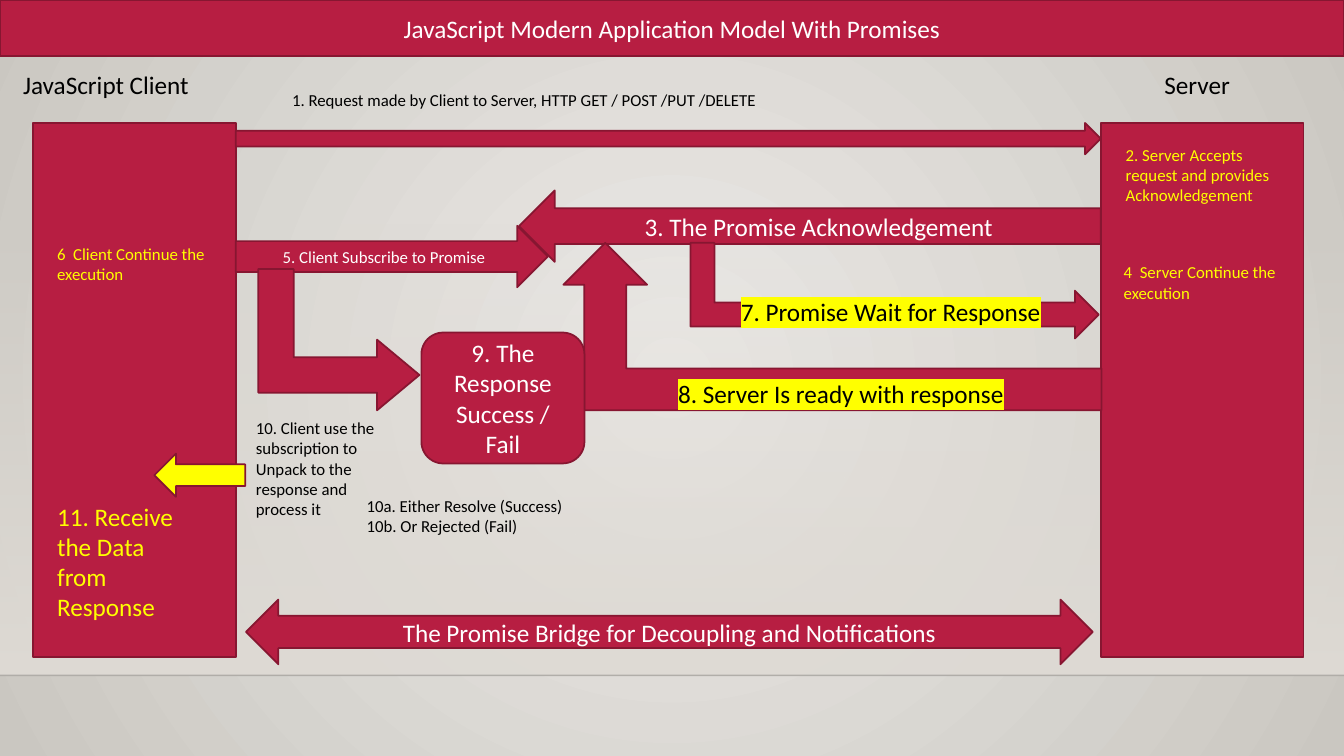
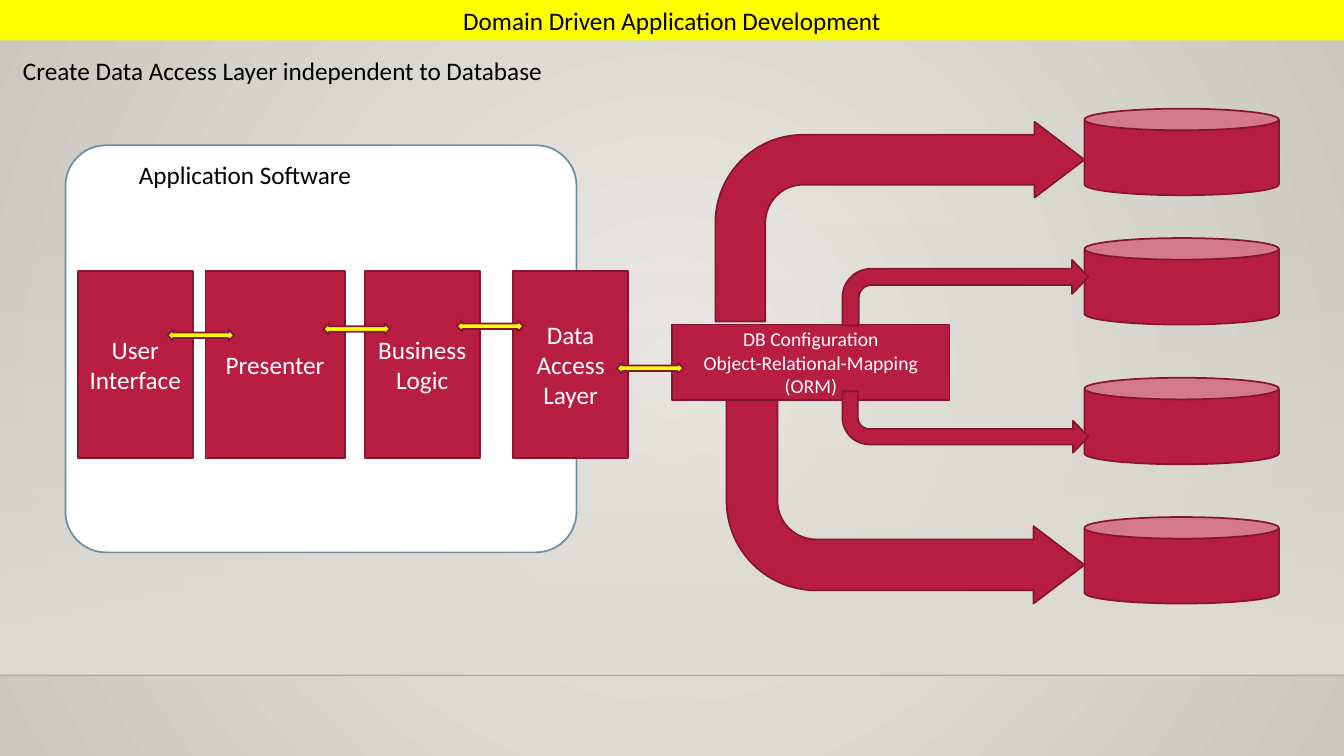
from lxml import etree
from pptx import Presentation
from pptx.dml.color import RGBColor
from pptx.enum.shapes import MSO_CONNECTOR, MSO_SHAPE
from pptx.enum.text import MSO_ANCHOR, MSO_AUTO_SIZE, PP_ALIGN
from pptx.oxml.ns import qn
from pptx.util import Cm, Pt

# Constants
RECTANGLE = MSO_SHAPE.RECTANGLE
ROUNDED = MSO_SHAPE.ROUNDED_RECTANGLE
RIGHT_ARROW = MSO_SHAPE.RIGHT_ARROW
LEFT_ARROW = MSO_SHAPE.LEFT_ARROW
DOUBLE_ARROW = MSO_SHAPE.LEFT_RIGHT_ARROW
BENT_UP_ARROW = MSO_SHAPE.BENT_UP_ARROW
BENT_ARROW = MSO_SHAPE.BENT_ARROW
CAN = MSO_SHAPE.CAN
LEFT, CENTER = PP_ALIGN.LEFT, PP_ALIGN.CENTER
TOP, MIDDLE = MSO_ANCHOR.TOP, MSO_ANCHOR.MIDDLE

FONT = "Calibri"
CRIMSON, DARK_RED, YELLOW = "B71E42", "871631", "FFFF00"
WHITE, BLACK, SAND, TEAL = "FFFFFF", "000000", "DFDBD5", "6892A0"
WIDTH, HEIGHT = 33.87, 19.05
FLOOR_TOP, FLOOR_LINE = 5.61, 17.02


def color(hex_text):
    return RGBColor.from_string(hex_text)


def add_block(slide, kind, box, text="", size=18, ink=WHITE, fill=CRIMSON, line=DARK_RED,
              align=CENTER, adjust=(), rotation=0, flip=None, highlight=None):
    """Add a preset shape, a text box (kind None) or fill the title (kind "title")."""
    lengths = [Cm(value) for value in box]
    if kind == "title":
        shape = slide.shapes.title
        for name, value in zip(("left", "top", "width", "height"), lengths):
            setattr(shape, name, value)
    elif kind is None:
        shape = slide.shapes.add_textbox(*lengths)
    else:
        shape = slide.shapes.add_shape(kind, *lengths)
        shape.shadow.inherit = False
        shape.rotation = rotation
        for index, value in enumerate(adjust):
            shape.adjustments[index] = value
        if flip:
            shape.element.spPr.find(qn("a:xfrm")).set(flip, "1")
    if kind is not None:
        shape.fill.solid()
        shape.fill.fore_color.rgb = color(fill)
        if line:
            shape.line.color.rgb = color(line)
            shape.line.width = Pt(1.25)
        else:
            shape.line.fill.background()
    if not text:
        return shape

    frame = shape.text_frame
    frame.text = text
    frame_format = {"word_wrap": True, "auto_size": MSO_AUTO_SIZE.NONE,
                    "vertical_anchor": TOP if kind is None else MIDDLE}
    for name, value in frame_format.items():
        setattr(frame, name, value)
    for paragraph in frame.paragraphs:
        paragraph.alignment = align
        for run in paragraph.runs:
            for name, value in {"name": FONT, "size": Pt(size)}.items():
                setattr(run.font, name, value)
            run.font.color.rgb = color(ink)
            if highlight:
                mark = etree.Element(qn("a:highlight"))
                etree.SubElement(mark, qn("a:srgbClr"), val=highlight)
                run.font._element.find(qn("a:solidFill")).addnext(mark)
    return shape


presentation = Presentation()
presentation.slide_width, presentation.slide_height = Cm(WIDTH), Cm(HEIGHT)
master = presentation.slide_master
title_only = presentation.slide_layouts[5]
promise_slide = presentation.slides.add_slide(title_only)
domain_slide = presentation.slides.add_slide(title_only)

# Master background: light centre, darker edges
background = master.background.fill
background.gradient()
for stop, hex_text in zip(background.gradient_stops, ("ECEAE7", "CAC7C1")):
    stop.color.rgb = color(hex_text)
gradient = master.element.find(".//" + qn("a:gradFill"))
gradient.remove(gradient.find(qn("a:lin")))
circle = etree.SubElement(gradient, qn("a:path"), {"path": "circle"})
etree.SubElement(circle, qn("a:fillToRect"), dict.fromkeys("ltrb", "50000"))

# Master floor: a band that fades in downwards, closed by a faint line
band = add_block(promise_slide, RECTANGLE, (0, FLOOR_TOP, WIDTH, FLOOR_LINE - FLOOR_TOP), line=None)
band.fill.gradient()
band.fill.gradient_angle = 270
for stop in band.fill.gradient_stops:
    stop.color.rgb = color(SAND)
floor = promise_slide.shapes.add_connector(
    MSO_CONNECTOR.STRAIGHT, 0, Cm(FLOOR_LINE), Cm(WIDTH), Cm(FLOOR_LINE))
floor.line.color.rgb = color(BLACK)
floor.line.width = Pt(1)
etree.SubElement(floor.element.spPr, qn("a:effectLst"))
for number, (part, opacity) in enumerate(((band, "0"), (floor, "20000"))):
    etree.SubElement(part.element.find(".//" + qn("a:srgbClr")), qn("a:alpha"), val=opacity)
    part.element.find(".//" + qn("p:cNvPr")).set("id", str(20 + number))
    master.element.cSld.spTree.insert(2 + number, part.element)

# Text styles
heading = {"ink": BLACK}
note = {"ink": BLACK, "size": 12, "align": LEFT}
yellow_note = {**note, "ink": YELLOW}
marked = {"ink": BLACK, "align": LEFT, "highlight": YELLOW}

# Slide 1: promise model, numbered steps between client and server
promise_blocks = [
    ("title", (0, 0, WIDTH, 1.42), "JavaScript Modern Application Model With Promises", {}),
    (RECTANGLE, (27.74, 3.1, 5.11, 13.46), "", {}),
    (None, (27.53, 1.63, 5.28, 1.02), "Server", heading),
    (RECTANGLE, (0.84, 3.1, 5.11, 13.46), "", {}),
    (None, (0.03, 1.63, 5.28, 1.02), "JavaScript Client", heading),
    (RIGHT_ARROW, (5.94, 3.1, 21.8, 0.79), "", {}),
    (None, (7.11, 2.13, 18.6, 0.76),
     "1. Request made by Client to Server, HTTP GET / POST /PUT /DELETE", note),
    (None, (28.12, 3.51, 4.39, 1.8),
     "2. Server Accepts request and provides Acknowledgement", yellow_note),
    (LEFT_ARROW, (13.08, 4.8, 14.66, 1.8), "3. The Promise Acknowledgement", {}),
    (None, (28.07, 6.48, 4.39, 1.27), "4  Server Continue the execution", yellow_note),
    (RIGHT_ARROW, (5.94, 5.69, 7.87, 1.55), "5. Client Subscribe to Promise", {"size": 12}),
    (None, (1.19, 6.02, 4.39, 1.27), "6  Client Continue the execution", yellow_note),
    (BENT_UP_ARROW, (21.34, 2.18, 2.41, 10.29), "", {"rotation": 90}),
    (None, (18.42, 7.34, 8.26, 1.02), "7. Promise Wait for Response", marked),
    (BENT_UP_ARROW, (14.2, 6.12, 13.56, 4.22), "", {"flip": "flipH"}),
    (None, (16.84, 9.4, 9.32, 1.02), "8. Server Is ready with response", marked),
    (ROUNDED, (10.62, 8.38, 4.11, 3.3), "9. The Response\nSuccess / Fail", {}),
    (BENT_UP_ARROW, (6.76, 6.53, 3.56, 4.06), "",
     {"rotation": 90, "adjust": (0.25, 0.25, 0.3)}),
    (None, (6.2, 10.41, 3.71, 2.82),
     "10. Client use the subscription to Unpack to the response and process it", note),
    (None, (8.99, 12.37, 9.09, 1.27),
     "10a. Either Resolve (Success)\n10b. Or Rejected (Fail)", note),
    (LEFT_ARROW, (3.89, 11.43, 2.29, 1.09), "", {"fill": YELLOW}),
    (None, (1.19, 12.5, 3.73, 3.33), "11. Receive the Data from Response",
     {"ink": YELLOW, "align": LEFT}),
    (DOUBLE_ARROW, (6.2, 15.11, 21.34, 1.63),
     "The Promise Bridge for Decoupling and Notifications", {}),
]
for kind, box, text, style in promise_blocks:
    add_block(promise_slide, kind, box, text, **style)

# Slide 2: headings and application frame
add_block(domain_slide, "title", (0, 0, WIDTH, 1.02), "Domain Driven Application Development",
          ink=BLACK, fill=YELLOW, line=None)
add_block(domain_slide, None, (0.33, 1.27, 32.8, 1.02),
          "Create Data Access Layer independent to Database", ink=BLACK, align=LEFT)
add_block(domain_slide, ROUNDED, (1.65, 3.66, 12.88, 10.26), fill=WHITE, line=TEAL, adjust=(0.1,))
add_block(domain_slide, None, (3.25, 3.89, 8.28, 1.02), "Application Software",
          ink=BLACK, align=LEFT)

# Application layers and database mapping
for left, width, text in ((1.96, 2.9, "User\nInterface"), (5.18, 3.51, "Presenter"),
                          (9.19, 2.9, "Business\nLogic"), (12.93, 2.9, "Data\nAccess\nLayer")):
    add_block(domain_slide, RECTANGLE, (left, 6.83, width, 4.72), text)
add_block(domain_slide, RECTANGLE, (16.94, 8.18, 6.99, 1.9),
          "DB Configuration\nObject-Relational-Mapping (ORM)", size=14)

# Databases
for top in (2.74, 6, 9.52, 13.03):
    add_block(domain_slide, CAN, (27.33, top, 4.9, 2.18))

# Links between the layers
for left, top in ((4.22, 8.31), (8.15, 8.15), (11.51, 8.08), (15.54, 9.14)):
    add_block(domain_slide, DOUBLE_ARROW, (left, top, 1.68, 0.28), fill=YELLOW)

# Arrows from the mapping to the databases
for box, head, flip in (((18.03, 3.07, 9.3, 5.03), 0.19, None),
                        ((21.23, 6.55, 6.2, 1.65), 0.26, None),
                        ((21.23, 9.86, 6.2, 1.55), 0.26, "flipV"),
                        ((18.31, 10.08, 9.02, 5.13), 0.19, "flipV")):
    add_block(domain_slide, BENT_ARROW, box, adjust=(0.25, head, 0.25, 0.44), flip=flip)

presentation.save("out.pptx")
